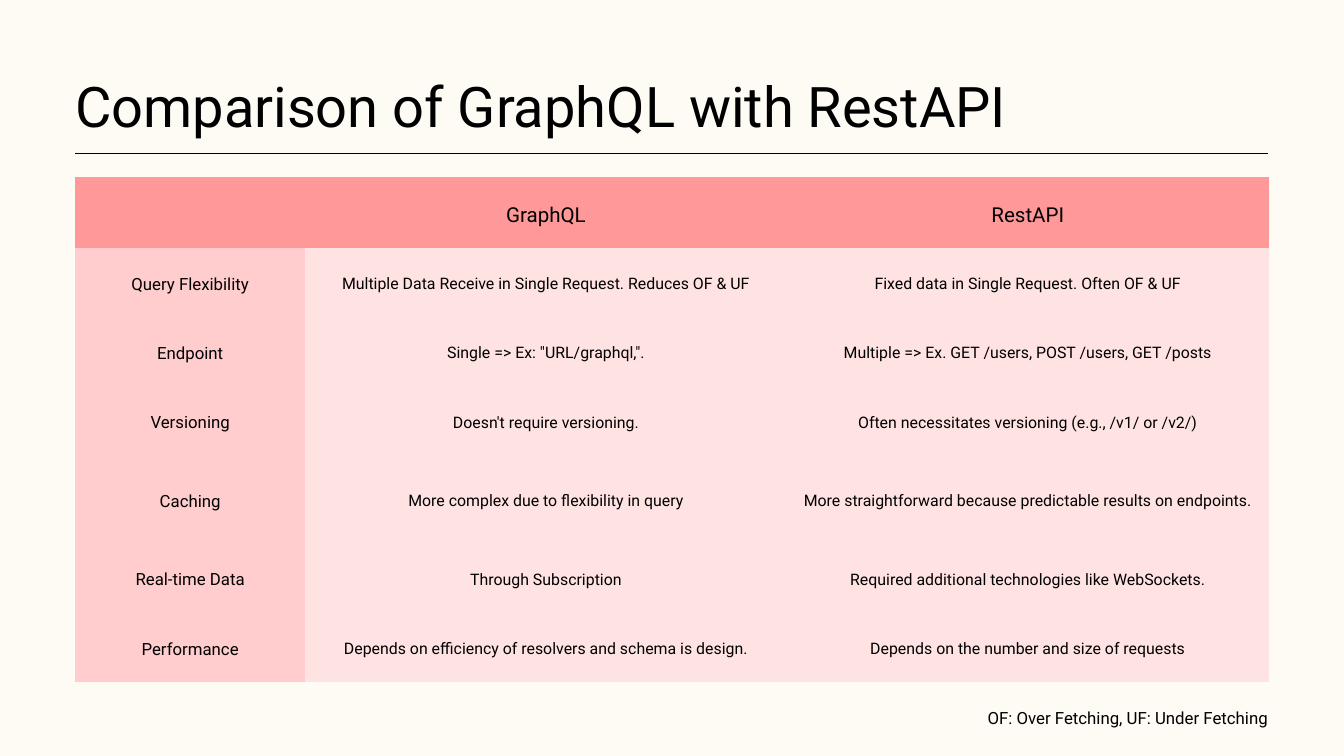
from lxml.etree import SubElement
from pptx import Presentation
from pptx.dml.color import RGBColor
from pptx.enum.shapes import MSO_CONNECTOR
from pptx.enum.text import MSO_ANCHOR, PP_ALIGN
from pptx.oxml.ns import qn
from pptx.util import Inches, Pt

FONT = "Roboto"
BLACK = "000000"
BACKGROUND = "FEFBF5"
HEADER_FILL, LABEL_FILL, VALUE_FILL = "FF9999", "FFCDCD", "FFE3E3"
LEFT, WIDTH = 1.12, 17.75
CELL_MARGIN = 0.21

COLUMN_WIDTHS = [3.42, 7.17, 7.17]
ROW_HEIGHTS = [1.05, 1.03, 1.03, 1.03, 1.31, 1.03, 1.03]
COMPARISON = [
    ("", "GraphQL", "RestAPI"),
    ("Query Flexibility",
     "Multiple Data Receive in Single Request. Reduces OF & UF",
     "Fixed data in Single Request. Often OF & UF"),
    ("Endpoint",
     'Single => Ex: "URL/graphql,".',
     "Multiple => Ex. GET /users, POST /users, GET /posts"),
    ("Versioning",
     "Doesn't require versioning.",
     "Often necessitates versioning (e.g., /v1/ or /v2/)"),
    ("Caching",
     "More complex due to flexibility in query",
     "More straightforward because predictable results on endpoints."),
    ("Real-time Data",
     "Through Subscription",
     "Required additional technologies like WebSockets."),
    ("Performance",
     "Depends on efficiency of resolvers and schema is design.",
     "Depends on the number and size of requests"),
]


def color(hex_string):
    return RGBColor.from_string(hex_string)


def write(frame, text, size, align=PP_ALIGN.LEFT, spacing=1.4, margin=0.0):
    """Put one formatted paragraph in a text frame or table cell."""
    frame.margin_left = frame.margin_right = Inches(margin)
    frame.margin_top = frame.margin_bottom = Inches(margin)
    holder = getattr(frame, "text_frame", frame)
    holder.word_wrap = True
    paragraph = holder.paragraphs[0]
    paragraph.alignment = align
    paragraph.line_spacing = Pt(size * spacing)
    paragraph.font.size = Pt(size)
    if text:
        run = paragraph.add_run()
        run.text = text
        run.font.name = FONT
        run.font.size = Pt(size)
        run.font.color.rgb = color(BLACK)


def add_text(slide, text, left, top, width, height, **text_format):
    box = slide.shapes.add_textbox(
        Inches(left), Inches(top), Inches(width), Inches(height))
    write(box.text_frame, text, **text_format)


def add_rule(slide, left, top, width):
    rule = slide.shapes.add_connector(
        MSO_CONNECTOR.STRAIGHT, Inches(left), Inches(top),
        Inches(left + width), Inches(top))
    rule.line.color.rgb = color(BLACK)
    rule.line.width = Pt(0.75)
    SubElement(rule._element.spPr, qn("a:effectLst"))


def remove_borders(cell):
    properties = cell._tc.get_or_add_tcPr()
    for side in ("a:lnL", "a:lnR", "a:lnT", "a:lnB"):
        border = SubElement(properties, qn(side), w="0")
        SubElement(border, qn("a:noFill"))


def cell_style(row, column):
    """Return the fill and text size for a position in the table."""
    if row == 0:
        return HEADER_FILL, 22
    if column == 0:
        return LABEL_FILL, 18
    return VALUE_FILL, 17


def add_comparison_table(slide, left, top):
    table = slide.shapes.add_table(
        len(ROW_HEIGHTS), len(COLUMN_WIDTHS), Inches(left), Inches(top),
        Inches(sum(COLUMN_WIDTHS)), Inches(sum(ROW_HEIGHTS))).table
    table.first_row = table.horz_banding = False
    for column, width in zip(table.columns, COLUMN_WIDTHS):
        column.width = Inches(width)
    for row, height in zip(table.rows, ROW_HEIGHTS):
        row.height = Inches(height)

    for r, texts in enumerate(COMPARISON):
        for c, text in enumerate(texts):
            cell = table.cell(r, c)
            fill, size = cell_style(r, c)
            remove_borders(cell)
            cell.fill.solid()
            cell.fill.fore_color.rgb = color(fill)
            cell.vertical_anchor = MSO_ANCHOR.MIDDLE
            write(cell, text, size, align=PP_ALIGN.CENTER, margin=CELL_MARGIN)


def main():
    presentation = Presentation()
    presentation.slide_width = Inches(20)
    presentation.slide_height = Inches(11.25)
    slide = presentation.slides.add_slide(presentation.slide_layouts[6])
    slide.background.fill.solid()
    slide.background.fill.fore_color.rgb = color(BACKGROUND)

    # Rule under the title
    add_rule(slide, LEFT, 2.28, WIDTH)
    # Comparison
    add_comparison_table(slide, LEFT, 2.64)
    # Title
    add_text(slide, "Comparison of GraphQL with RestAPI",
             LEFT, 1.07, WIDTH, 1.01, size=60, spacing=1.2)
    # Abbreviations
    add_text(slide, "OF: Over Fetching, UF: Under Fetching",
             14.5, 10.48, 4.37, 0.34, size=18, align=PP_ALIGN.RIGHT)

    presentation.save("out.pptx")


if __name__ == "__main__":
    main()
